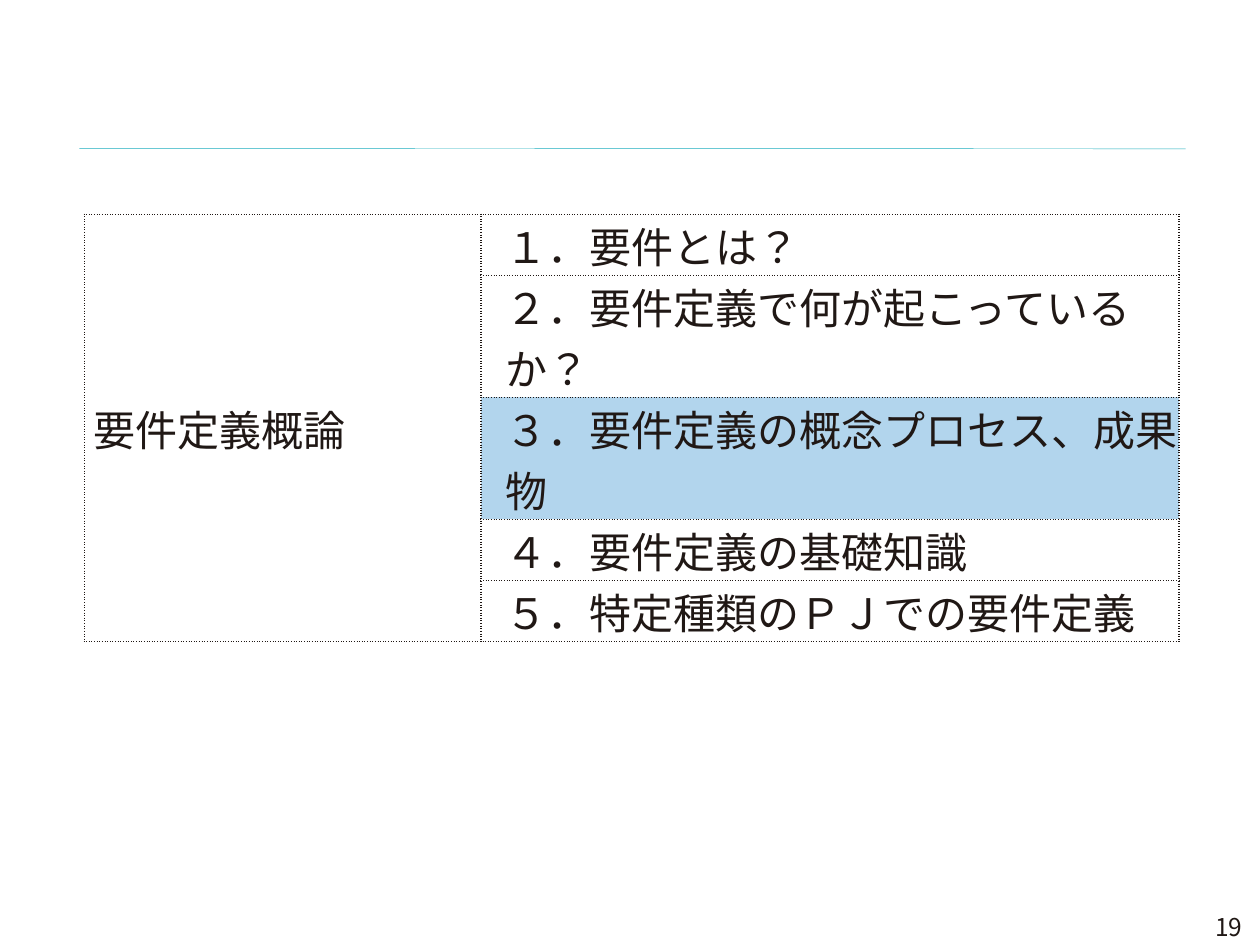
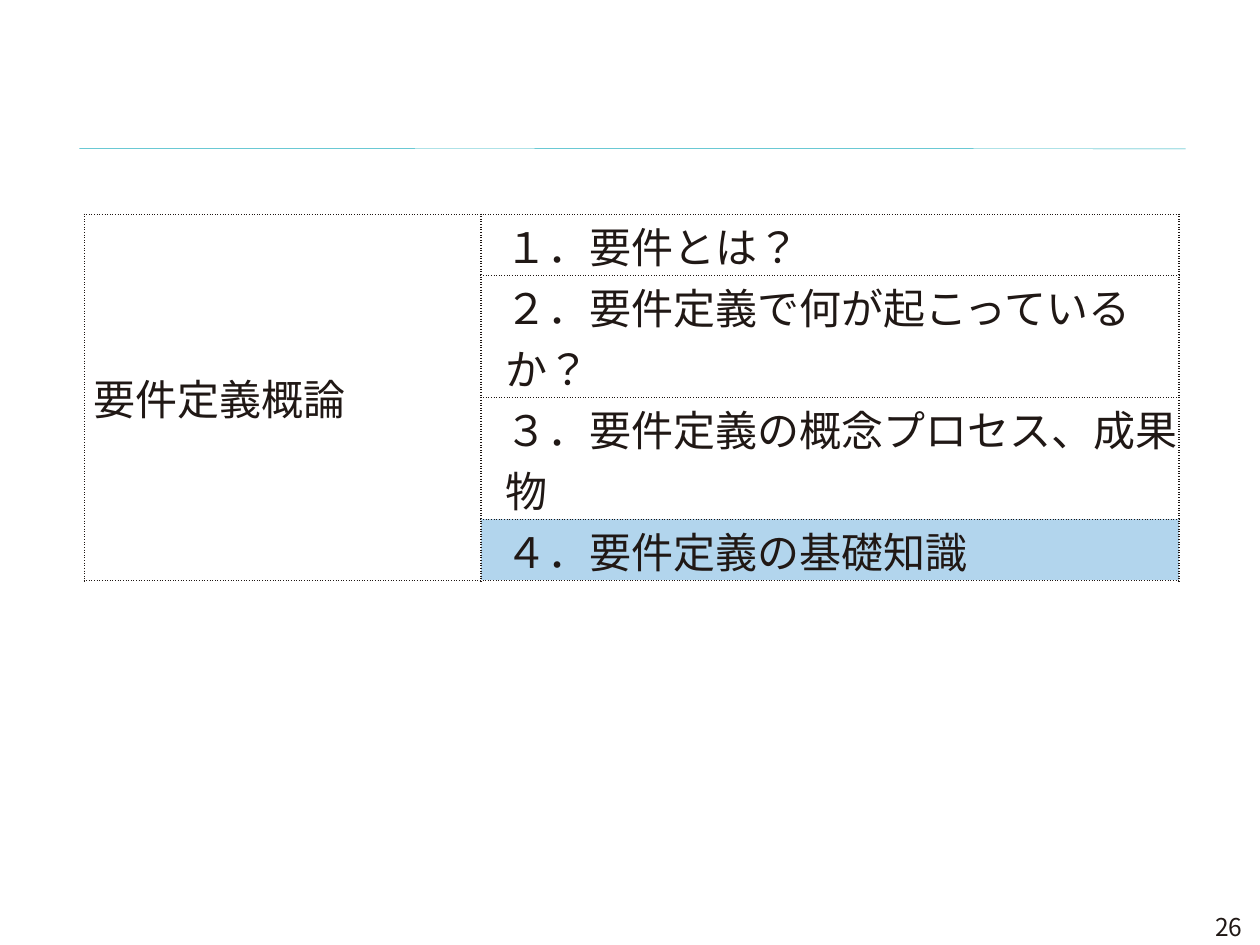
from dataclasses import dataclass

from lxml import etree
from pptx import Presentation
from pptx.dml.color import RGBColor
from pptx.enum import lang, shapes, text
from pptx.oxml import ns
from pptx.util import Cm, Pt

INK = RGBColor(0x20, 0x18, 0x15)
TEAL = RGBColor(0x1B, 0xAD, 0xBD)
MARK = RGBColor(0xB2, 0xD5, 0xED)
FACE = "Noto Sans CJK JP"
THEME = "要件定義概論"
WIDTHS = (Cm(8), Cm(14.07))
ROW = Cm(1.23)


@dataclass
class Topic:
    words: str
    lines: int = 1


@dataclass
class Agenda:
    page: int
    count: int
    active: int


TOPICS = (
    Topic("１．要件とは？"),
    Topic("２．要件定義で何が起こっているか？", 2),
    Topic("３．要件定義の概念プロセス、成果物", 2),
    Topic("４．要件定義の基礎知識"),
    Topic("５．特定種類のＰＪでの要件定義"),
)
AGENDAS = (Agenda(19, 5, 3), Agenda(26, 4, 4))


def style(par, size: int) -> None:
    font = par.font
    font.size = Pt(size)
    font.name = FACE
    font.color.rgb = INK
    etree.SubElement(font._element, ns.qn("a:ea"), typeface=FACE)
    for run in par.runs:
        run.font.language_id = lang.MSO_LANGUAGE_ID.JAPANESE


def rule(slide) -> None:
    line = slide.shapes.add_connector(
        shapes.MSO_CONNECTOR.STRAIGHT, Cm(1.6), Cm(2.99), Cm(23.9), Cm(3))
    line.line.color.rgb = TEAL
    line.line.width = Pt(0.25)
    etree.SubElement(line._element.spPr, ns.qn("a:effectLst"))


def number(slide, page: int) -> None:
    box = slide.shapes.add_textbox(Cm(21.77), Cm(18.29), Cm(3.53), Cm(0.79))
    frame = box.text_frame
    frame.word_wrap = True
    frame.vertical_anchor = text.MSO_ANCHOR.MIDDLE
    par = frame.paragraphs[0]
    par.text = str(page)
    par.alignment = text.PP_ALIGN.RIGHT
    style(par, 14)


def border(cell) -> None:
    props = cell._tc.get_or_add_tcPr()
    for place, side in enumerate(("lnL", "lnR", "lnT", "lnB")):
        edge = etree.Element(ns.qn(f"a:{side}"), w=str(Pt(1)))
        fill = etree.SubElement(edge, ns.qn("a:solidFill"))
        etree.SubElement(fill, ns.qn("a:srgbClr"), val=str(INK))
        etree.SubElement(edge, ns.qn("a:prstDash"), val="sysDot")
        props.insert(place, edge)


def write(cell, words: str, indent: Cm) -> None:
    par = cell.text_frame.paragraphs[0]
    par.text = words
    par._p.get_or_add_pPr().set("marL", str(indent))
    style(par, 24)


def table(slide, agenda: Agenda) -> None:
    topics = TOPICS[:agenda.count]
    height = ROW * sum(topic.lines for topic in topics)
    grid = slide.shapes.add_table(
        agenda.count, 2, Cm(1.7), Cm(4.32), sum(WIDTHS), height).table
    grid.first_row = grid.horz_banding = False
    for col, width in zip(grid.columns, WIDTHS):
        col.width = width
    for cell in grid.iter_cells():
        cell.margin_left = cell.margin_right = 0
        cell.margin_top = cell.margin_bottom = 0
        cell.vertical_anchor = text.MSO_ANCHOR.MIDDLE
        cell.fill.background()
        border(cell)
    grid.cell(0, 0).merge(grid.cell(agenda.count - 1, 0))
    write(grid.cell(0, 0), THEME, Cm(0.19))
    for row, topic in enumerate(topics):
        grid.rows[row].height = ROW * topic.lines
        write(grid.cell(row, 1), topic.words, Cm(0.49))
    active = grid.cell(agenda.active - 1, 1)
    active.fill.solid()
    active.fill.fore_color.rgb = MARK


def main() -> None:
    deck = Presentation()
    deck.slide_width, deck.slide_height = Cm(25.4), Cm(19.05)
    for agenda in AGENDAS:
        slide = deck.slides.add_slide(deck.slide_layouts[6])
        rule(slide)
        number(slide, agenda.page)
        table(slide, agenda)
    deck.save("out.pptx")


if __name__ == "__main__":
    main()
